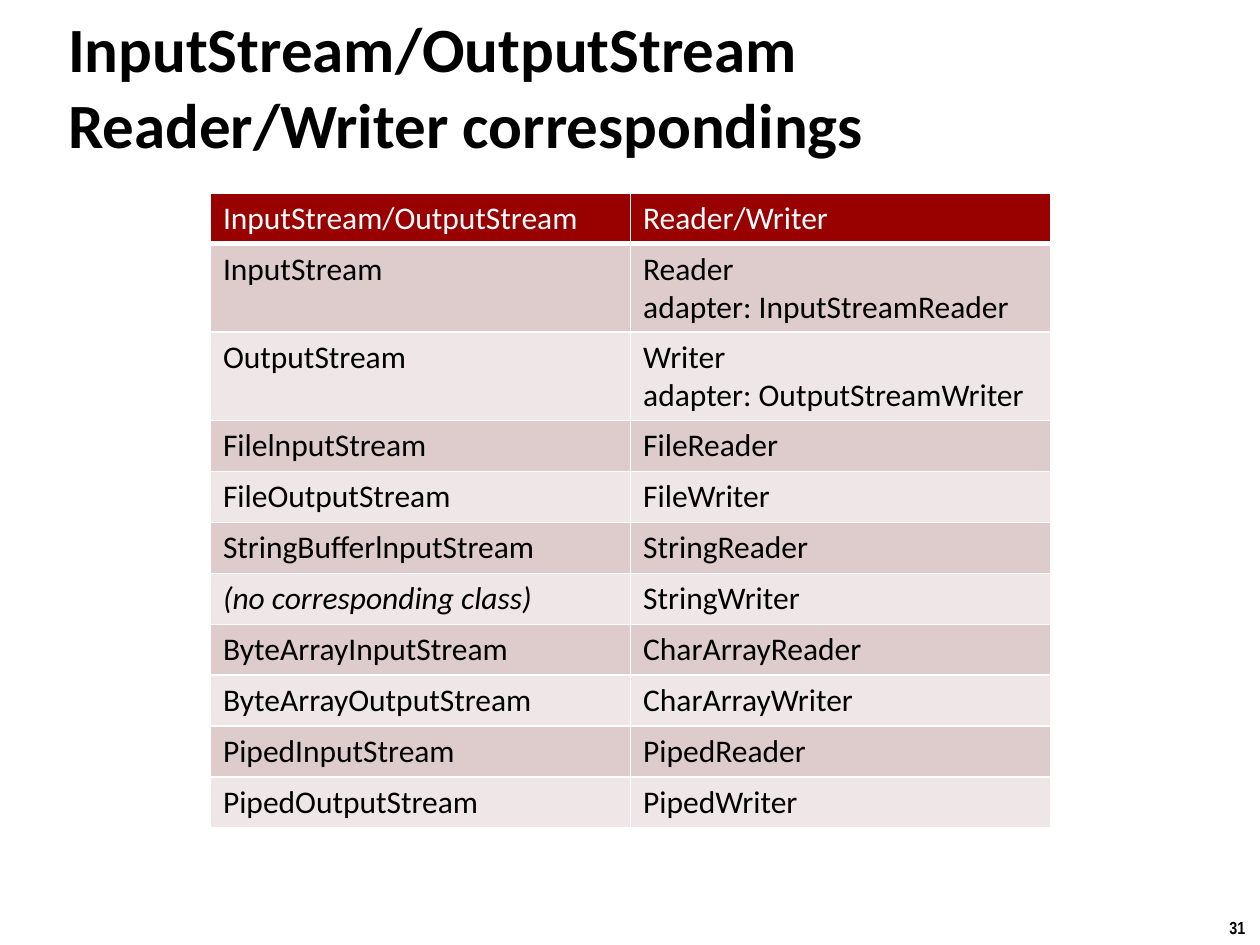
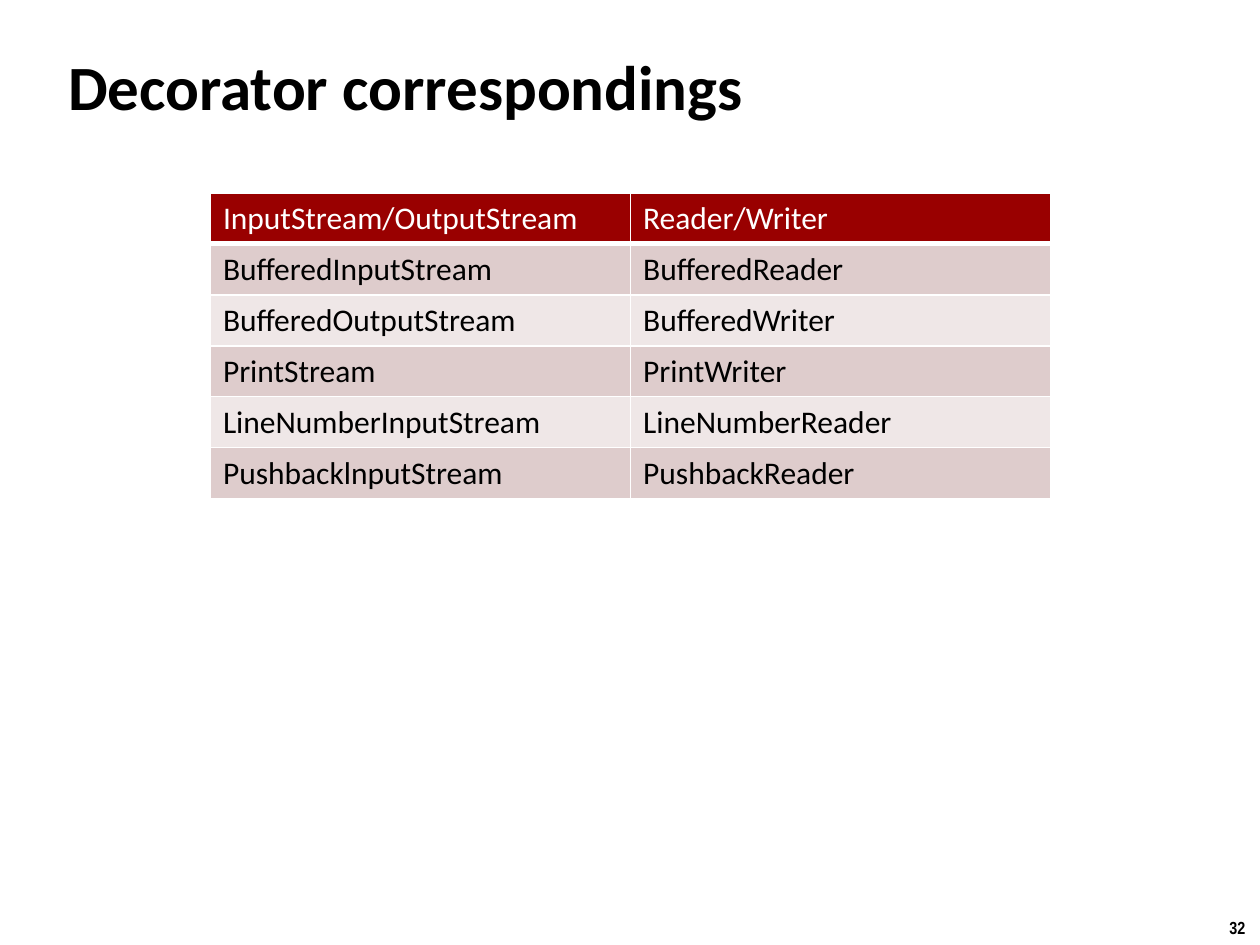
from lxml import etree
from pptx import Presentation
from pptx import util as u
from pptx.dml.color import RGBColor
from pptx.enum import text
from pptx.oxml.ns import qn

BLACK = RGBColor(0x00, 0x00, 0x00)
WHITE = RGBColor(0xFF, 0xFF, 0xFF)
RED = RGBColor(0x99, 0x00, 0x00)
BANDS = (RGBColor(0xEF, 0xE7, 0xE7), RGBColor(0xDE, 0xCC, 0xCC))

HEAD = ("InputStream/OutputStream", "Reader/Writer")
NONE = "(no corresponding class)"
FIRST = 31
PAGES = [
    ("InputStream/OutputStream\vReader/Writer correspondings", [
        ("InputStream", "Reader\nadapter: InputStreamReader"),
        ("OutputStream", "Writer\nadapter: OutputStreamWriter"),
        ("FilelnputStream", "FileReader"),
        ("FileOutputStream", "FileWriter"),
        ("StringBufferlnputStream", "StringReader"),
        (NONE, "StringWriter"),
        ("ByteArrayInputStream", "CharArrayReader"),
        ("ByteArrayOutputStream", "CharArrayWriter"),
        ("PipedInputStream", "PipedReader"),
        ("PipedOutputStream", "PipedWriter"),
    ]),
    ("Decorator correspondings", [
        ("BufferedInputStream", "BufferedReader"),
        ("BufferedOutputStream", "BufferedWriter"),
        ("PrintStream", "PrintWriter"),
        ("LineNumberInputStream", "LineNumberReader"),
        ("PushbacklnputStream", "PushbackReader"),
    ]),
]


def put(obj, **vals):
    for key, val in vals.items():
        setattr(obj, key, val)


class Deck:
    TITLE = dict(name="Calibri", size=u.Pt(36), bold=True)
    CELL = dict(name="Calibri", size=u.Pt(18), bold=False)
    PAGE = dict(name="Arial Narrow", size=u.Pt(10), bold=True)
    ROW = u.Inches(2.43) // 6

    def __init__(self):
        self.prs = Presentation()
        put(self.prs, slide_width=u.Inches(10), slide_height=u.Inches(7.5))
        self.slide = None
        style = self.prs.slide_master.element.find(".//" + qn("p:titleStyle"))
        style.find(".//" + qn("a:defRPr")).set("sz", "3600")

    def label(self, frame, words, color, **font):
        frame.text = words
        for par in frame.paragraphs:
            par.alignment = text.PP_ALIGN.LEFT
            for run in par.runs:
                put(run.font, **font)
                run.font.color.rgb = color

    def new(self, title, page):
        self.slide = self.prs.slides.add_slide(self.prs.slide_layouts[5])
        self.title(title)
        self.page(page)

    def title(self, words):
        box = self.slide.shapes.title
        put(box, left=u.Inches(0.5), top=u.Inches(0.08),
            width=u.Inches(9.08), height=u.Inches(1.19))
        frame = box.text_frame
        edges = ("margin_left", "margin_top", "margin_right", "margin_bottom")
        put(frame, word_wrap=True, auto_size=text.MSO_AUTO_SIZE.NONE,
            vertical_anchor=text.MSO_ANCHOR.MIDDLE,
            **dict.fromkeys(edges, u.Inches(0.04)))
        self.label(frame, words, BLACK, **self.TITLE)

    def page(self, num):
        box = self.slide.shapes.add_textbox(
            u.Inches(9.66), u.Inches(7.23), u.Inches(0.34), u.Inches(0.27))
        put(box.text_frame, word_wrap=False,
            auto_size=text.MSO_AUTO_SIZE.SHAPE_TO_FIT_TEXT)
        self.label(box.text_frame, str(num), BLACK, **self.PAGE)

    def table(self, rows):
        grid = self.slide.shapes.add_table(
            len(rows), len(HEAD), u.Inches(1.67), u.Inches(1.53),
            u.Inches(6.67), self.ROW * len(rows)).table
        for row, words in enumerate(rows):
            grid.rows[row].height = self.ROW
            for col, word in enumerate(words):
                self.cell(grid.cell(row, col), word, row)

    def cell(self, cell, word, row):
        top = row == 0
        self.label(cell.text_frame, word, WHITE if top else BLACK,
                   italic=word == NONE, **self.CELL)
        for side in "LRTB":
            thick = (top and side == "B") or (row == 1 and side == "T")
            self.edge(cell, side, 3 if thick else 1)
        cell.fill.solid()
        cell.fill.fore_color.rgb = RED if top else BANDS[row % 2]

    def edge(self, cell, side, width):
        props = cell._tc.get_or_add_tcPr()
        line = etree.SubElement(props, qn("a:ln" + side), w=str(u.Pt(width)))
        fill = etree.SubElement(line, qn("a:solidFill"))
        etree.SubElement(fill, qn("a:srgbClr"), val=str(WHITE))


def main():
    deck = Deck()
    for num, (title, rows) in enumerate(PAGES, FIRST):
        deck.new(title, num)
        deck.table([HEAD, *rows])
    deck.prs.save("out.pptx")


if __name__ == "__main__":
    main()
